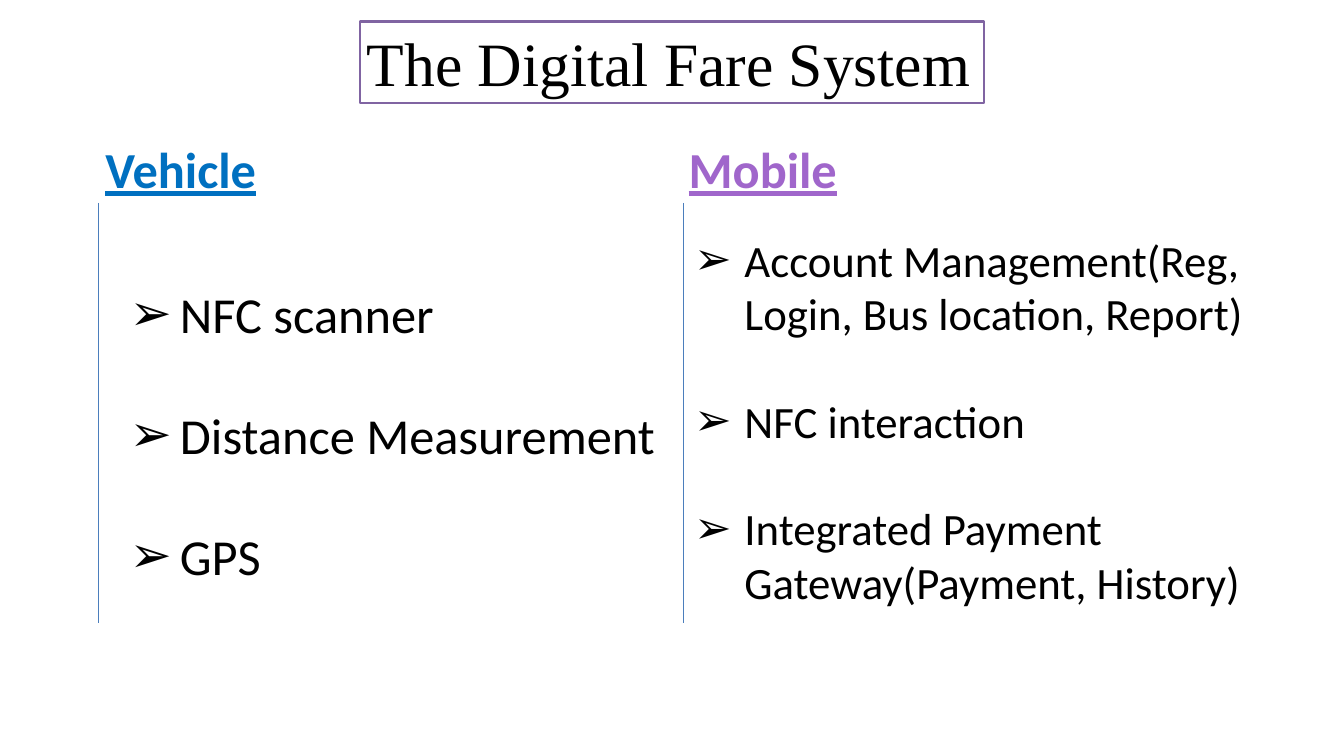
from lxml import etree
from pptx import Presentation
from pptx.dml.color import RGBColor
from pptx.enum.shapes import MSO_CONNECTOR, MSO_SHAPE
from pptx.enum.text import MSO_ANCHOR, PP_ALIGN
from pptx.oxml.ns import qn
from pptx.util import Inches, Pt

COLORS = {
    "text": "000000",
    "frame": "8064A2",
    "rule": "4B7EBC",
    "vehicle": "0070C0",
    "mobile": "A066CB",
}


def style(paragraph, size, color, font="Calibri"):
    paragraph.alignment = PP_ALIGN.LEFT
    for run in paragraph.runs:
        run.font.name = font
        run.font.size = Pt(size)
        run.font.color.rgb = RGBColor.from_string(COLORS[color])


def add_arrow_bullet(paragraph):
    properties = paragraph._p.get_or_add_pPr()
    properties.set("marL", str(Inches(0.75)))
    properties.set("indent", str(Inches(-0.75)))
    etree.SubElement(properties, qn("a:buFont"), typeface="Calibri")
    etree.SubElement(properties, qn("a:buChar"), char="➢")


deck = Presentation()
deck.slide_width = Inches(20)
deck.slide_height = Inches(11.25)
slide = deck.slides.add_slide(deck.slide_layouts[6])

title = slide.shapes.add_shape(
    MSO_SHAPE.RECTANGLE, Inches(5.36), Inches(0.32), Inches(9.28), Inches(1.21)
)
title.shadow.inherit = False
title.fill.background()
title.line.color.rgb = RGBColor.from_string(COLORS["frame"])
title.line.width = Pt(2.25)
title.text_frame.word_wrap = True
title.text_frame.vertical_anchor = MSO_ANCHOR.TOP
title.text_frame.text = "The Digital Fare System"
style(title.text_frame.paragraphs[0], 66, "text", "Times New Roman")

columns = [
    {
        "heading": "Vehicle", "color": "vehicle", "left": 1.47, "rule": 1.47,
        "width": 2.47, "box": (1.83, 3.26, 8.32, 6.46),
        "size": 54, "spacing": 2, "gap": 0,
        "features": ["NFC scanner", "Distance Measurement", "GPS"],
    },
    {
        "heading": "Mobile", "color": "mobile", "left": 10.15, "rule": 10.17,
        "width": 2.43, "box": (10.23, 3.41, 9.31, 6.66),
        "size": 48, "spacing": 1, "gap": 57.5,
        "features": [
            "Account Management(Reg, Login, Bus location, Report)",
            "NFC interaction",
            "Integrated Payment Gateway(Payment, History)",
        ],
    },
]

for column in columns:
    heading = slide.shapes.add_textbox(
        Inches(column["left"]), Inches(2.01), Inches(column["width"]), Inches(1.01)
    )
    heading.text_frame.word_wrap = True
    heading.text_frame.text = column["heading"]
    heading_line = heading.text_frame.paragraphs[0]
    style(heading_line, 54, column["color"])
    heading_line.runs[0].font.bold = True
    heading_line.runs[0].font.underline = True

    rule = slide.shapes.add_connector(
        MSO_CONNECTOR.STRAIGHT,
        Inches(column["rule"]), Inches(3.02), Inches(column["rule"]), Inches(9.27),
    )
    rule.line.color.rgb = RGBColor.from_string(COLORS["rule"])
    rule.line.width = Pt(0.75)
    etree.SubElement(rule._element.spPr, qn("a:effectLst"))

    features = slide.shapes.add_textbox(*[Inches(length) for length in column["box"]])
    features.text_frame.word_wrap = True
    features.text_frame.text = "\n".join(column["features"])
    for feature in features.text_frame.paragraphs:
        feature.line_spacing = float(column["spacing"])
        feature.space_after = Pt(column["gap"])
        style(feature, column["size"], "text")
        add_arrow_bullet(feature)

deck.save("out.pptx")
